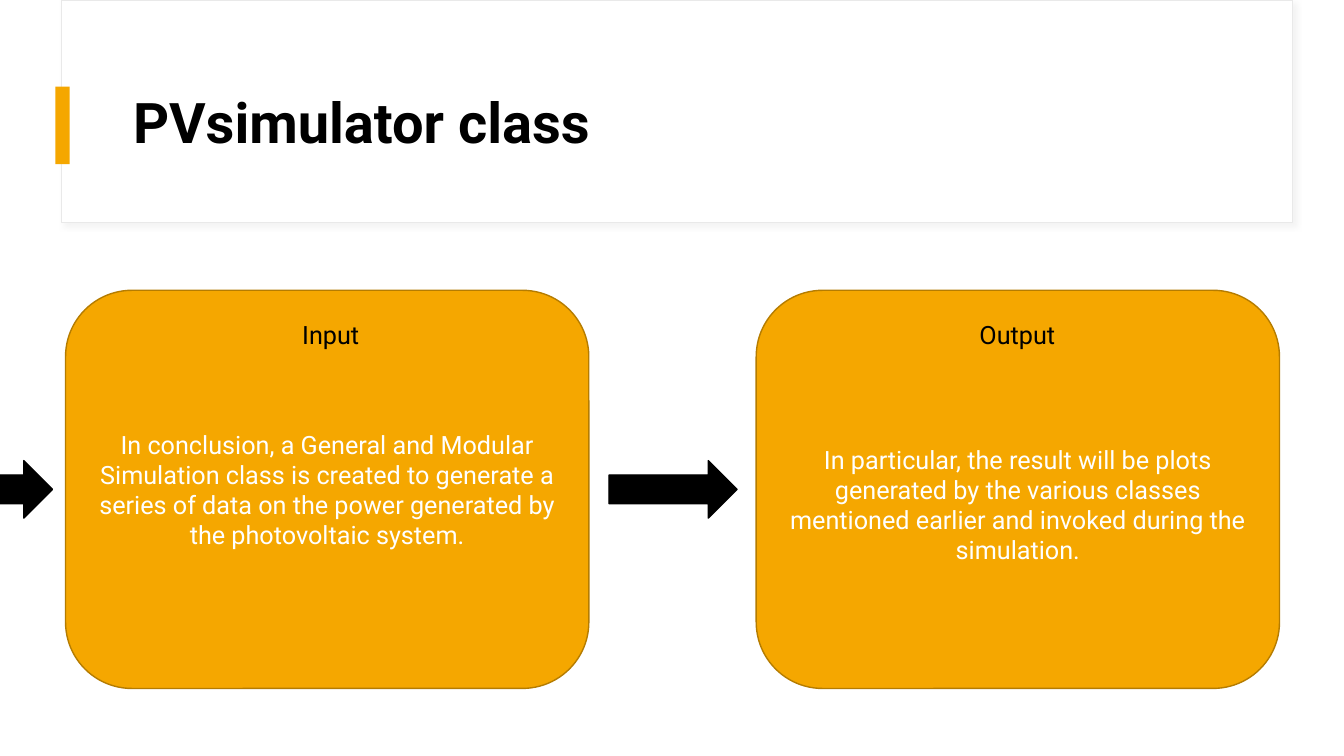
from lxml import etree
from pptx import Presentation
from pptx import util as u
from pptx.dml.color import RGBColor
from pptx.enum import shapes, text
from pptx.oxml import ns

KIND = shapes.MSO_SHAPE
ANCHOR = text.MSO_ANCHOR
ALIGN = text.PP_ALIGN


def rgb(value):
    return RGBColor.from_string(value)


class SlideBuilder:
    font = "Roboto"
    accent, edge = "F5A700", "B57C00"
    black, white = "000000", "FFFFFF"

    def __init__(self, prs):
        self.s = prs.slides.add_slide(prs.slide_layouts[5])

    def set_text(self, tf, words, size, color, align, anchor, bold=False):
        tf.word_wrap = True
        tf.vertical_anchor = anchor
        tf.text = words
        p = tf.paragraphs[0]
        p.alignment = align
        f = p.runs[0].font
        f.name, f.size, f.bold = self.font, u.Pt(size), bold
        f.color.rgb = rgb(color)
        return p

    def shape(self, kind, x, y, w, h, fill, line=None, width=1):
        sp = self.s.shapes.add_shape(kind, *map(u.Inches, (x, y, w, h)))
        sp.shadow.inherit = False
        sp.fill.solid()
        sp.fill.fore_color.rgb = rgb(fill)
        if line:
            sp.line.color.rgb = rgb(line)
            sp.line.width = u.Pt(width)
        else:
            sp.line.fill.background()
        return sp

    def soft_shadow(self, sp, color, alpha, blur, dist, angle):
        """Give the shape an outer shadow; blur and dist are in points."""
        effects = sp.element.spPr.find(ns.qn("a:effectLst"))
        shadow = etree.SubElement(
            effects, ns.qn("a:outerShdw"), blurRad=str(u.Pt(blur)),
            dist=str(u.Pt(dist)), dir=str(angle * 60000), algn="tl", rotWithShape="0")
        tint = etree.SubElement(shadow, ns.qn("a:srgbClr"), val=color)
        etree.SubElement(tint, ns.qn("a:alpha"), val=str(alpha * 1000))

    def header(self):
        frame = self.shape(KIND.RECTANGLE, 0.61, 0, 12.21, 2.21, self.white, "E9E9E9", 0.75)
        self.soft_shadow(frame, "D9D9D9", 30, 4, 3, 45)
        self.shape(KIND.RECTANGLE, 0.55, 0.86, 0.14, 0.77, self.accent)

    def title(self, words):
        sp = self.s.shapes.title
        self.s.shapes.element.append(sp.element)  # bring in front of the header
        sp.left, sp.top, sp.width, sp.height = map(u.Inches, (1.22, 0.6, 11.12, 1.29))
        p = self.set_text(sp.text_frame, words, 40, self.black, ALIGN.LEFT, ANCHOR.MIDDLE, True)
        p.line_spacing = 0.9

    def label(self, words, x, y, w, h):
        sp = self.s.shapes.add_textbox(*map(u.Inches, (x, y, w, h)))
        self.set_text(sp.text_frame, words, 18, self.black, ALIGN.CENTER, ANCHOR.TOP)

    def card(self, x, heading, heading_x, body, top_inset):
        sp = self.shape(KIND.ROUNDED_RECTANGLE, x, 2.88, 5.19, 3.95, self.accent, self.edge)
        self.set_text(sp.text_frame, body, 18, self.white, ALIGN.CENTER, ANCHOR.MIDDLE)
        sp.text_frame.margin_top = u.Inches(top_inset)
        self.label(heading, heading_x, 3.12, 4.32, 0.42)

    def arrow(self, x):
        self.shape(KIND.RIGHT_ARROW, x, 4.57, 1.27, 0.57, self.black, self.black)


def main():
    prs = Presentation()
    prs.slide_width, prs.slide_height = u.Inches(13.33), u.Inches(7.5)
    slide = SlideBuilder(prs)
    slide.header()
    slide.title("PVsimulator class")
    slide.card(0.65, "Input", 1.12,
               "In conclusion, a General and Modular Simulation class is created to "
               "generate a series of data on the power generated by the photovoltaic "
               "system.", 0.05)
    slide.card(7.5, "Output", 7.93,
               "In particular, the result will be plots generated by the various classes "
               "mentioned earlier and invoked during the simulation.", 0.35)
    for x in (-0.75, 6.04):
        slide.arrow(x)
    prs.save("out.pptx")


if __name__ == "__main__":
    main()
